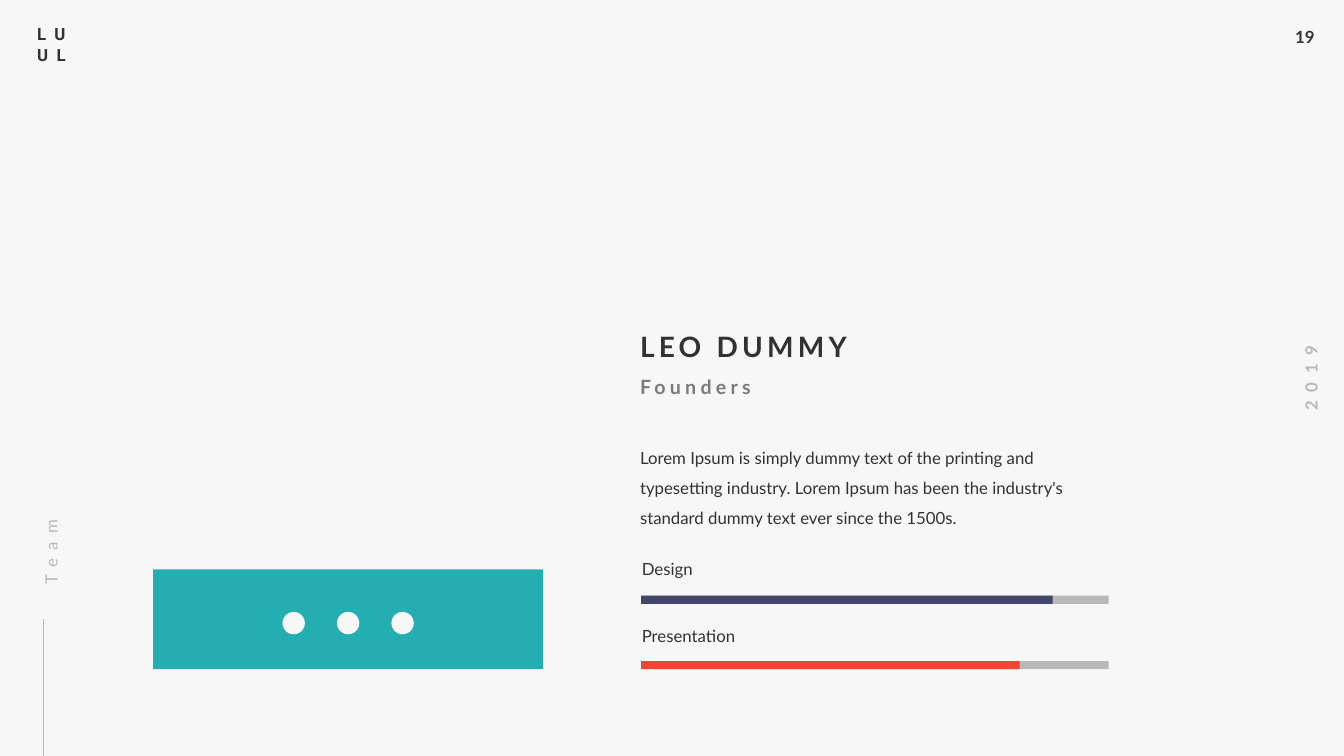
from pptx import Presentation, util as u
from pptx.dml.color import RGBColor
from pptx.enum import shapes, text
from pptx.oxml.ns import qn
from lxml import etree

PAPER, INK, GREY, MID = "F7F7F7", "323232", "B9B9B9", "7C7C7C"
TEAL, NAVY, RED = "25AEB1", "42456C", "F24432"
PADDED = (7.2, 3.6, 7.2, 3.6)
FLUSH = (0, 0, 7.2, 0)


def rgb(hex_color):
    """Turn a hex string into a colour."""
    return RGBColor.from_string(hex_color)


def set_all(obj, values):
    """Set every attribute named in a dict."""
    for name, value in values.items():
        setattr(obj, name, value)


def add_text(s, box, lines, color=INK, size=12, bold=False, font="Lato", spc=0,
             inset=PADDED, wrap=True, rotation=0, para=None):
    """Add a text box with one paragraph for each line."""
    sp = s.shapes.add_textbox(*map(u.Pt, box))
    sp.rotation = rotation
    tf = sp.text_frame
    sides = ("margin_left", "margin_top", "margin_right", "margin_bottom")
    set_all(tf, dict(zip(sides, map(u.Pt, inset))))
    set_all(tf, {"word_wrap": wrap,
                 "auto_size": text.MSO_AUTO_SIZE.SHAPE_TO_FIT_TEXT})
    for i, line in enumerate(lines):
        p = tf.add_paragraph() if i else tf.paragraphs[0]
        set_all(p, para or {})
        r = p.add_run()
        r.text = line
        set_all(r.font, {"size": u.Pt(size), "bold": bold, "name": font})
        r.font.color.rgb = rgb(color)
        if spc:
            r._r.get_or_add_rPr().set("spc", str(spc * 100))


def add_block(s, box, color, kind=shapes.MSO_SHAPE.RECTANGLE):
    """Add a flat filled shape without outline."""
    sp = s.shapes.add_shape(kind, *map(u.Pt, box))
    sp.shadow.inherit = False
    sp.fill.solid()
    sp.fill.fore_color.rgb = rgb(color)
    sp.line.fill.background()


def add_frame(s, x, y, w, h):
    """Place the wordmark, page number and year at the slide edges."""
    add_text(s, (x + w - 42, y + 15.84, 29.5, 21.6), ["19"], bold=True, wrap=False)
    add_text(s, (x + w - 57.1, y + 259.2, 67, 21.6), ["2019"], GREY, bold=True,
             spc=6, wrap=False, rotation=270,
             para={"alignment": text.PP_ALIGN.CENTER})
    add_text(s, (x + 19.44, y + 13.68, 42.5, 36), ["LU", "UL"], bold=True,
             font="Roboto", spc=6)


def add_section_mark(s, x, y, w, h):
    """Place the upright section name above a thin line to the slide foot."""
    line = s.shapes.add_connector(shapes.MSO_CONNECTOR.STRAIGHT, u.Pt(x), u.Pt(y + h),
                                  u.Pt(x), u.Pt(y + 134))
    line.line.color.rgb = rgb(GREY)
    line.line.width = u.Pt(0.5)
    etree.SubElement(line._element.spPr, qn("a:effectLst"))
    add_text(s, (x - 66.3, y + 33.3, 133.2, 18.7), ["Team"], GREY, spc=6,
             inset=FLUSH, rotation=270, para={"line_spacing": 1.5})


def add_social_panel(s, x, y, w, h):
    """Place a coloured panel with three evenly spaced round marks."""
    add_block(s, (x, y, w, h), TEAL)
    size, pitch = 16, 38.9
    for i in (-1, 0, 1):
        left = x + w / 2 + i * pitch - size / 2
        add_block(s, (left, y + 30.3, size, size), PAPER, shapes.MSO_SHAPE.OVAL)


def add_profile(s, x, y, w, h):
    """Place the name, role and description of the person."""
    add_text(s, (x, y, 252, 24.5), ["LEO DUMMY"], size=20, bold=True, spc=3,
             inset=FLUSH)
    add_text(s, (x, y + 32.4, 152, 17.3), ["Founders"], MID, size=14, bold=True,
             spc=3, inset=FLUSH)
    add_text(s, (x, y + 77, w, h - 77),
             ["Lorem Ipsum is simply dummy text of the printing and typesetting "
              "industry. Lorem Ipsum has been the industry's standard dummy text "
              "ever since the 1500s."], inset=FLUSH, para={"line_spacing": 1.5})


def add_skill(s, x, y, w, h, label, share, color):
    """Place a skill label over a track filled to its share."""
    track = 5.8
    bar_y = y + h - track
    add_text(s, (x - 6.5, y, 172, 21.6), [label])
    add_block(s, (x, bar_y, w, track), GREY)
    add_block(s, (x, bar_y, w * share, track), color)


def main():
    """Build and save the team slide."""
    prs = Presentation()
    prs.slide_width, prs.slide_height = u.Pt(960), u.Pt(540)
    s = prs.slides.add_slide(prs.slide_layouts[6])
    s.background.fill.solid()
    s.background.fill.fore_color.rgb = rgb(PAPER)
    add_frame(s, 0, 0, 960, 540)
    add_section_mark(s, 31, 308, 20, 232)
    add_social_panel(s, 109.4, 406.8, 278.6, 71.2)
    add_profile(s, 457.2, 235.4, 316, 139.7)
    add_skill(s, 457.9, 395.3, 334, 36, "Design", 0.88, NAVY)
    add_skill(s, 457.9, 443.5, 334, 34.5, "Presentation", 0.81, RED)
    prs.save("out.pptx")


if __name__ == "__main__":
    main()
